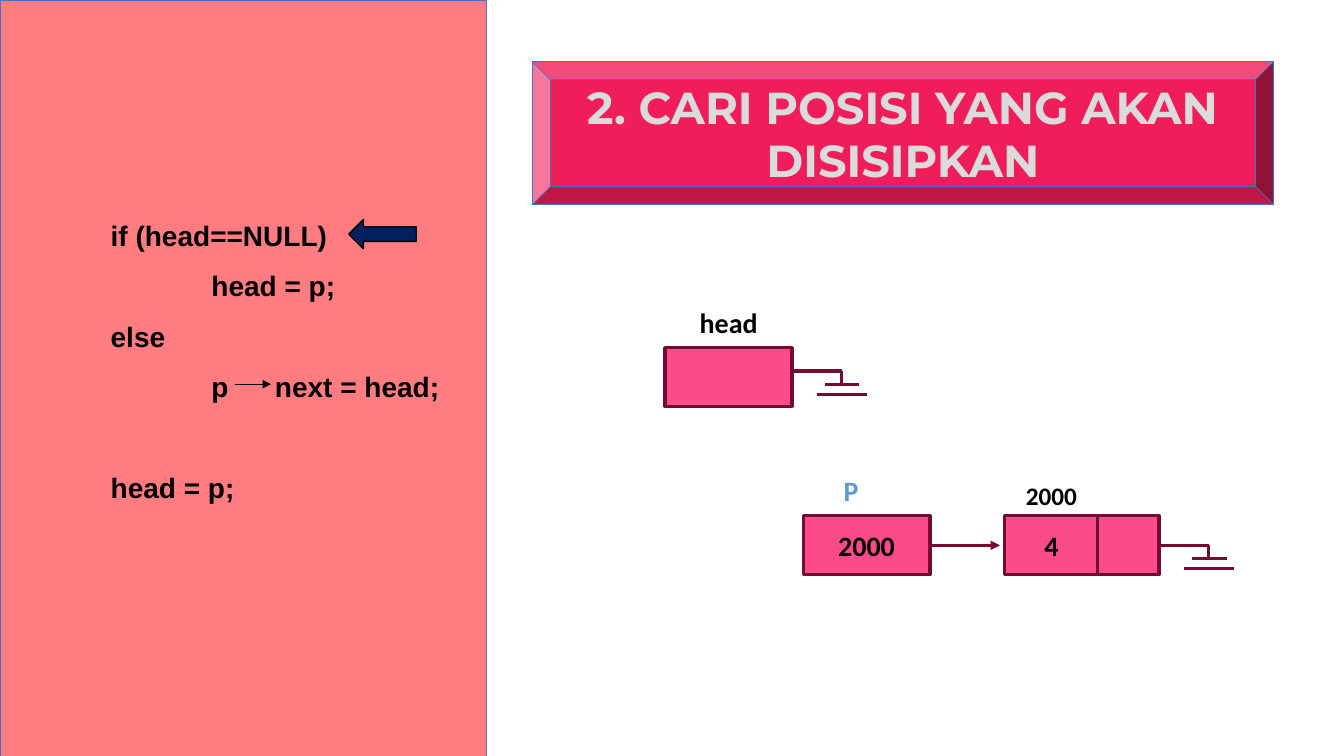
"""Build the slide on finding the insert position in a linked list."""
from lxml import etree
from pptx import Presentation
from pptx.dml.color import RGBColor
from pptx.enum.shapes import MSO_CONNECTOR, MSO_SHAPE as SHAPE
from pptx.enum.text import MSO_ANCHOR as ANCHOR, PP_ALIGN as ALIGN
from pptx.oxml.ns import qn
from pptx.util import Cm, Pt

TITLE = "2. CARI POSISI YANG AKAN DISISIPKAN"
TITLE_BOX = (13.41, 1.55, 18.69, 3.61)
BEVEL_EDGE = 0.45
PANEL_BOX = (0, 0, 12.27, 19.05)
CODE = [
    (1, "if (head==NULL)", 0),
    (2, "head = p;", 0),
    (1, "else", 0),
    (2, "p\tnext = head;", 0),
    (1, "head = p;", 36),
]
INDENT, POINTER_GAP = 2.54, 1.6
NODES = {
    "head": (16.76, 8.76, 3.2, 1.48, ""),
    "p": (20.24, 13, 3.2, 1.48, "2000"),
    "data": (25.32, 13, 2.36, 1.48, "4"),
    "next": (27.66, 13, 1.55, 1.48, ""),
}
LABELS = [
    ("head", (16.84, 7.66, 3.05, 1.12), 20, "000000", ALIGN.CENTER, 0.9),
    ("P", (21.01, 11.91, 1.65, 1.12), 20, "5B9BD5", ALIGN.LEFT, 0.9),
    ("2000", (25.53, 11.99, 1.93, 1.02), 18, "000000", ALIGN.CENTER, 1),
]
GROUND = [
    ((0, 0), (1.25, 0)),
    ((1.25, 0), (1.25, 0.33)),
    ((0.83, 0.33), (1.7, 0.33)),
    ((0.62, 0.59), (1.89, 0.59)),
]
HEAD_GROUND, NEXT_GROUND = (19.96, 9.35), (29.21, 13.74)
WINE, PINK, BLUE, BLACK = "730B33", "FB4B8A", "4472C4", "000000"


def color(value):
    return RGBColor.from_string(value)


def write(p, text, font, size, value, align=ALIGN.LEFT, spacing=1):
    p.text = text
    p.alignment, p.line_spacing = align, spacing
    for r in p.runs:
        r.font.name, r.font.size, r.font.bold = font, Pt(size), True
        r.font.color.rgb = color(value)


def add_box(s, kind, box, fill, line, width):
    sp = s.shapes.add_shape(kind, *map(Cm, box))
    sp.shadow.inherit = False
    sp.fill.solid()
    sp.fill.fore_color.rgb = color(fill)
    sp.line.color.rgb = color(line)
    sp.line.width = Pt(width)
    return sp


def add_line(s, start, end, value=WINE, width=2.25, arrow=False):
    cx = s.shapes.add_connector(MSO_CONNECTOR.STRAIGHT, *map(Cm, start + end))
    cx.line.color.rgb = color(value)
    cx.line.width = Pt(width)
    if arrow:
        etree.SubElement(cx.line._get_or_add_ln(), qn("a:tailEnd"), type="triangle")
    etree.SubElement(cx._element.spPr, qn("a:effectLst"))
    return cx


def add_ground(s, origin):
    x, y = origin
    return [add_line(s, (x + x1, y + y1), (x + x2, y + y2))
            for (x1, y1), (x2, y2) in GROUND]


def add_title(s):
    add_box(s, SHAPE.BEVEL, TITLE_BOX, "EF1D59", BLUE, 0.5)
    title = s.shapes.title
    s.shapes._spTree.append(title._element)
    x, y, w, h = TITLE_BOX
    title.left, title.top = Cm(x + BEVEL_EDGE), Cm(y + BEVEL_EDGE)
    title.width, title.height = Cm(w - 2 * BEVEL_EDGE), Cm(h - 2 * BEVEL_EDGE)
    tf = title.text_frame
    tf.vertical_anchor = ANCHOR.MIDDLE
    write(tf.paragraphs[0], TITLE, "Montserrat", 32, "DBDBDB", ALIGN.CENTER)


def add_code(s):
    tf = add_box(s, SHAPE.RECTANGLE, PANEL_BOX, "FF7C80", BLUE, 0.5).text_frame
    tf.vertical_anchor = ANCHOR.MIDDLE
    tf.margin_bottom = Cm(1.4)
    for i, (level, text, before) in enumerate(CODE):
        p = tf.add_paragraph() if i else tf.paragraphs[0]
        hanging = POINTER_GAP if "\t" in text else 0
        pPr = p._p.get_or_add_pPr()
        pPr.set("marL", str(Cm(level * INDENT + hanging)))
        pPr.set("indent", str(Cm(-hanging)))
        write(p, text, "Arial", 20, BLACK, spacing=1.5)
        if before:
            p.space_before = Pt(before)
    add_line(s, (5.92, 9.68), (6.83, 9.68), BLACK, 0.5, True)
    add_box(s, SHAPE.LEFT_ARROW, (8.79, 5.53, 1.7, 0.74), "002060", BLACK, 1)


def add_list(s):
    nodes = {}
    for name, (*box, text) in NODES.items():
        sp = nodes[name] = add_box(s, SHAPE.RECTANGLE, box, PINK, WINE, 2.25)
        if text:
            sp.text_frame.vertical_anchor = ANCHOR.MIDDLE
            write(sp.text_frame.paragraphs[0], text, "Calibri", 20, BLACK, ALIGN.CENTER)
    for text, box, size, value, align, spacing in LABELS:
        tf = s.shapes.add_textbox(*map(Cm, box)).text_frame
        tf.word_wrap = True
        write(tf.paragraphs[0], text, "Calibri", size, value, align, spacing)
    add_line(s, (23.44, 13.74), (25.2, 13.74), arrow=True).begin_connect(nodes["p"], 3)
    add_ground(s, HEAD_GROUND)
    add_ground(s, NEXT_GROUND)[0].begin_connect(nodes["next"], 3)


def main():
    prs = Presentation()
    prs.slide_width, prs.slide_height = Cm(33.87), Cm(19.05)
    s = prs.slides.add_slide(prs.slide_layouts[5])
    add_title(s)
    add_code(s)
    add_list(s)
    prs.save("out.pptx")


if __name__ == "__main__":
    main()
